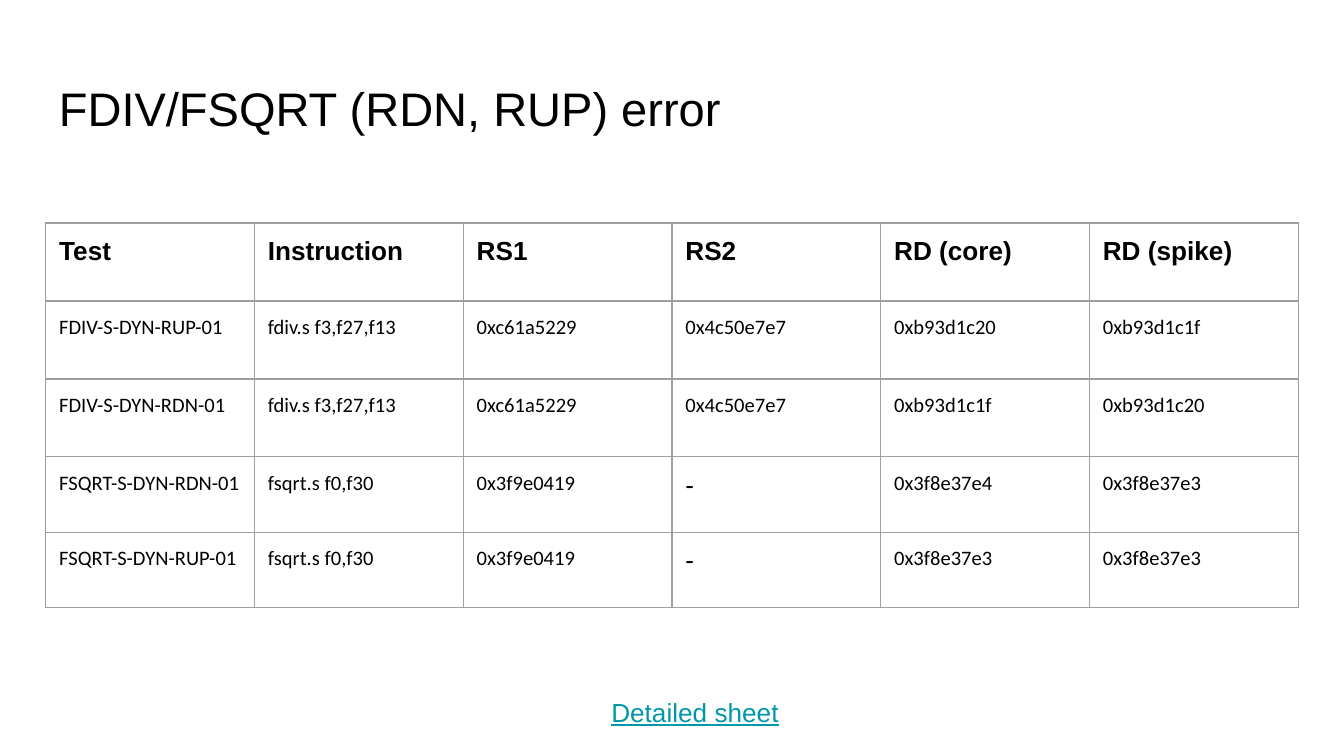
from lxml.etree import SubElement
from pptx import Presentation
from pptx.dml.color import RGBColor
from pptx.enum.text import MSO_ANCHOR
from pptx.oxml.ns import qn
from pptx.util import Inches, Pt

BLACK = RGBColor(0x00, 0x00, 0x00)
TEAL = RGBColor(0x00, 0x97, 0xA7)
GRAY = RGBColor(0x9E, 0x9E, 0x9E)

TITLE = "FDIV/FSQRT (RDN, RUP) error"
LINK = "Detailed sheet"
ROWS = [
    ("Test", "Instruction", "RS1", "RS2", "RD (core)", "RD (spike)"),
    ("FDIV-S-DYN-RUP-01", "fdiv.s f3,f27,f13", "0xc61a5229", "0x4c50e7e7", "0xb93d1c20", "0xb93d1c1f"),
    ("FDIV-S-DYN-RDN-01", "fdiv.s f3,f27,f13", "0xc61a5229", "0x4c50e7e7", "0xb93d1c1f", "0xb93d1c20"),
    ("FSQRT-S-DYN-RDN-01", "fsqrt.s f0,f30", "0x3f9e0419", "-", "0x3f8e37e4", "0x3f8e37e3"),
    ("FSQRT-S-DYN-RUP-01", "fsqrt.s f0,f30", "0x3f9e0419", "-", "0x3f8e37e3", "0x3f8e37e3"),
]
ROW_HEIGHTS = [0.58, 0.58, 0.58, 0.56, 0.56]
LEFT, WIDTH = 0.34, 9.32
PAD = Inches(0.1)


def set_margins(box):
    box.margin_left = box.margin_right = PAD
    box.margin_top = box.margin_bottom = PAD


def add_run(tf, text, size, font="Arial", color=BLACK, bold=False, underline=None):
    r = tf.paragraphs[0].add_run()
    r.text = text
    r.font.size = Pt(size)
    r.font.name = font
    r.font.color.rgb = color
    r.font.bold = bold
    r.font.underline = underline


def add_text(s, x, y, w, h, text, size, anchor=MSO_ANCHOR.TOP, **style):
    tf = s.shapes.add_textbox(Inches(x), Inches(y), Inches(w), Inches(h)).text_frame
    tf.word_wrap = True
    tf.vertical_anchor = anchor
    set_margins(tf)
    add_run(tf, text, size, **style)


def set_borders(cell):
    tcPr = cell._tc.get_or_add_tcPr()
    for i, side in enumerate(("lnL", "lnR", "lnT", "lnB")):
        ln = tcPr.makeelement(qn(f"a:{side}"), {"w": str(Pt(0.75))})
        fill = SubElement(ln, qn("a:solidFill"))
        SubElement(fill, qn("a:srgbClr"), val=str(GRAY))
        tcPr.insert(i, ln)


def add_results(s):
    n_cols = len(ROWS[0])
    frame = s.shapes.add_table(
        len(ROWS), n_cols, Inches(LEFT), Inches(1.66), Inches(WIDTH), Inches(sum(ROW_HEIGHTS))
    )
    table = frame.table
    table.first_row = table.horz_banding = False
    for col in table.columns:
        col.width = Inches(WIDTH / n_cols)
    for i, (values, height) in enumerate(zip(ROWS, ROW_HEIGHTS)):
        table.rows[i].height = Inches(height)
        for j, value in enumerate(values):
            cell = table.cell(i, j)
            cell.fill.background()
            set_margins(cell)
            set_borders(cell)
            large = i == 0 or value == "-"
            size, font = (14, "Arial") if large else (11, "Calibri")
            add_run(cell.text_frame, value, size, font, bold=i == 0)


prs = Presentation()
prs.slide_width = Inches(10)
prs.slide_height = prs.slide_width * 9 // 16
s = prs.slides.add_slide(prs.slide_layouts[6])
add_text(s, LEFT, 0.49, WIDTH, 0.63, TITLE, 25.2, MSO_ANCHOR.MIDDLE)
add_results(s)
add_text(s, 4.45, 5.08, 2.96, 0.44, LINK, 14, color=TEAL, underline=True)
prs.save("out.pptx")
